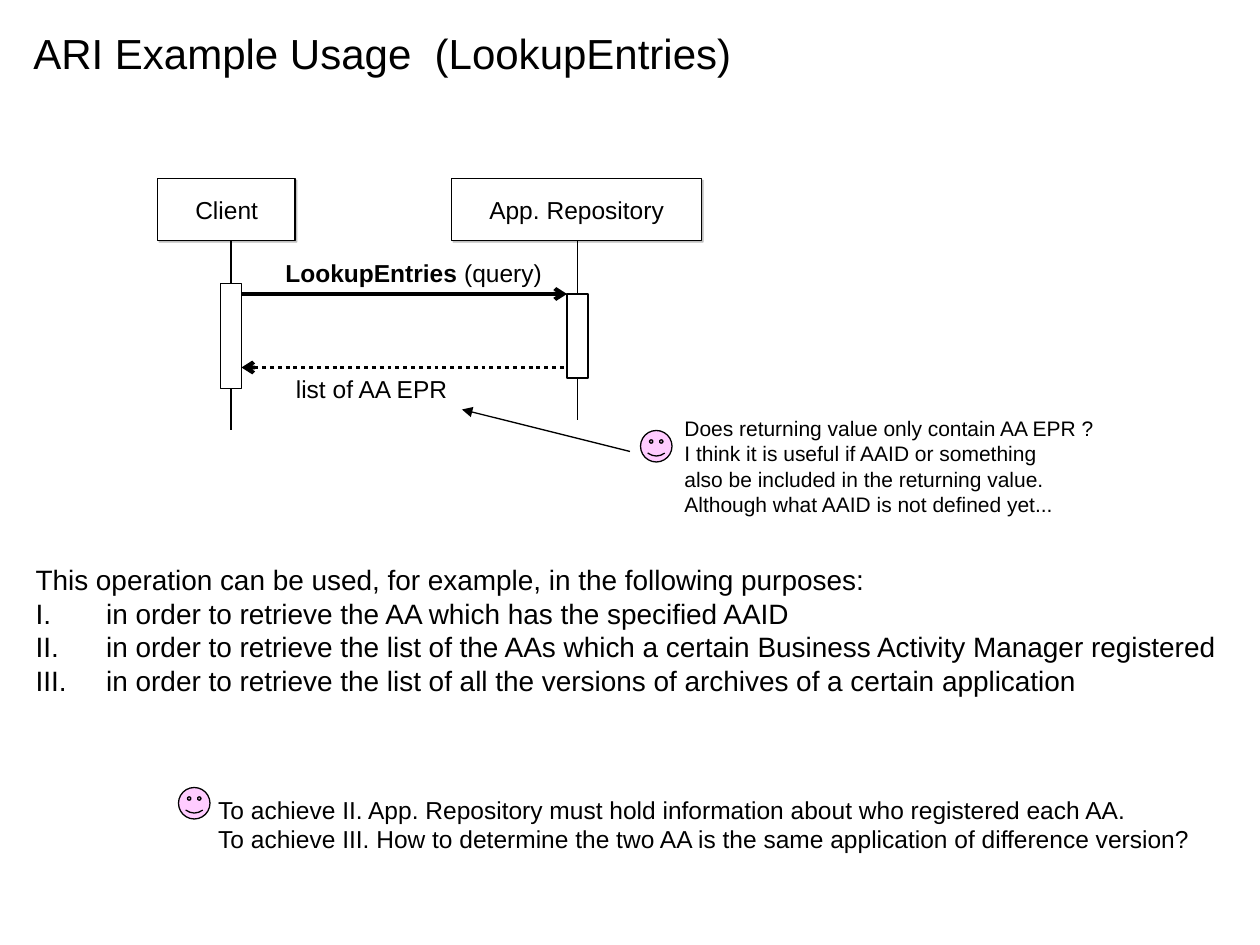
from typing import NamedTuple

from lxml import etree
from pptx import Presentation
from pptx.dml.color import RGBColor
from pptx.enum.dml import MSO_LINE
from pptx.enum.shapes import MSO_CONNECTOR, MSO_SHAPE
from pptx.enum.text import MSO_ANCHOR, PP_ALIGN
from pptx.oxml.ns import qn
from pptx.util import Inches, Pt

RECT, SMILEY = MSO_SHAPE.RECTANGLE, MSO_SHAPE.SMILEY_FACE
STRAIGHT = MSO_CONNECTOR.STRAIGHT
DOTTED = MSO_LINE.ROUND_DOT
LEFT, TOP = PP_ALIGN.LEFT, MSO_ANCHOR.TOP
COLS, ROWS = 120, 90
CELL = Inches(10) / COLS
FONT, BLACK, WHITE, PINK, GREY = "Arial", "000000", "FFFFFF", "FFCCFF", "808080"


class Box(NamedTuple):
    left: float
    top: float
    width: float
    height: float


class Run(NamedTuple):
    text: str
    bold: bool = False


class Para(NamedTuple):
    runs: list[Run]
    hanging: bool = False
    numbered: bool = False


class Label(NamedTuple):
    box: Box
    size: int
    paras: list[Para]


class Participant(NamedTuple):
    name: str
    box: Box
    axis: float
    end: float
    activation: Box


class Line(NamedTuple):
    start: tuple[float, float]
    end: tuple[float, float]
    weight: float = 0.75
    head: str = ""
    tail: str = ""
    dotted: bool = False


def plain(*texts: str) -> list[Para]:
    return [Para([Run(text)]) for text in texts]


TITLE = Label(Box(2, 2, 68.9, 6), 24, plain("ARI Example Usage  (LookupEntries)"))
PARTICIPANTS = [
    Participant("Client", Box(15, 17, 13.1, 5.9), 22, 41, Box(21, 27, 2, 10)),
    Participant("App. Repository", Box(43, 17, 23.8, 5.9), 55, 40, Box(54, 28, 2, 8)),
]
MESSAGES = [
    Line((23, 28), (54, 28), 2.25, tail="arrow"),
    Line((23, 35), (54, 35), 2.25, head="arrow", dotted=True),
]
MESSAGE_LABELS = [
    Label(Box(26, 24, 26.8, 4.1), 14,
          [Para([Run("LookupEntries", True), Run(" (query)")])]),
    Label(Box(27, 35, 17, 4.1), 14, plain("list of AA EPR")),
]
PURPOSES = Label(Box(2.2, 53, 115.1, 14), 16, [
    Para([Run("This operation can be used, for example, in the following purposes:")],
         hanging=True),
    *(Para([Run(" in order to retrieve the " + purpose)], True, True) for purpose in (
        "AA which has the specified AAID",
        "list of the AAs which a certain Business Activity Manager registered",
        "list of all the versions of archives of a certain application",
    )),
])
POINTER = Line((60, 43), (44, 39), tail="triangle")
SMILEYS = [Box(61, 41, 3, 3), Box(17, 75, 3, 3)]
REMARKS = [
    Label(Box(64, 39, 41.6, 10.8), 12, plain(
        "Does returning value only contain AA EPR ?",
        "I think it is useful if AAID or something",
        "also be included in the returning value.",
        "Although what AAID is not defined yet...",
    )),
    Label(Box(19.6, 75.1, 95.5, 6.9), 14, plain(
        "To achieve II. App. Repository must hold information about who registered each AA.",
        "To achieve III. How to determine the two AA is the same application of difference version?",
    )),
]


def rgb(value: str) -> RGBColor:
    return RGBColor.from_string(value)


def cells(*counts: float) -> list[int]:
    return [round(count * CELL) for count in counts]


def add_child(parent, tag: str, **attrs: str):
    return etree.SubElement(parent, qn(tag), attrs)


def write(tf, paras: list[Para], size: int) -> None:
    tf.word_wrap = False
    tf.vertical_anchor = TOP
    for i, para in enumerate(paras):
        p = tf.add_paragraph() if i else tf.paragraphs[0]
        p.alignment = LEFT
        pPr = p._p.get_or_add_pPr()
        if para.hanging:
            pPr.set("marL", str(Inches(0.5)))
            pPr.set("indent", str(-Inches(0.5)))
        if para.numbered:
            add_child(add_child(pPr, "a:buClr"), "a:srgbClr", val=BLACK)
            add_child(pPr, "a:buFont", typeface=FONT)
            add_child(pPr, "a:buAutoNum", type="romanUcPeriod")
        for run in para.runs:
            r = p.add_run()
            r.text = run.text
            r.font.name, r.font.size, r.font.bold = FONT, Pt(size), run.bold
            r.font.color.rgb = rgb(BLACK)


def add_label(s, label: Label) -> None:
    sp = s.shapes.add_textbox(*cells(*label.box))
    write(sp.text_frame, label.paras, label.size)


def add_shape(s, kind, box: Box, fill: str = WHITE):
    sp = s.shapes.add_shape(kind, *cells(*box))
    sp.fill.solid()
    sp.fill.fore_color.rgb = rgb(fill)
    sp.line.color.rgb = rgb(BLACK)
    sp.line.width = Pt(0.75)
    sp.shadow.inherit = False
    return sp


def add_line(s, line: Line) -> None:
    cx = s.shapes.add_connector(STRAIGHT, *cells(*line.start, *line.end))
    cx.line.color.rgb = rgb(BLACK)
    cx.line.width = Pt(line.weight)
    if line.dotted:
        cx.line.dash_style = DOTTED
    ln = cx.line._get_or_add_ln()
    for tag, kind in (("a:headEnd", line.head), ("a:tailEnd", line.tail)):
        if kind:
            add_child(ln, tag, type=kind)
    add_child(cx._element.spPr, "a:effectLst")


def add_participant(s, part: Participant) -> None:
    sp = add_shape(s, RECT, part.box)
    effects = sp._element.spPr.find(qn("a:effectLst"))
    shadow = add_child(effects, "a:outerShdw", dist=str(Pt(1.4)), dir="2700000",
                       algn="ctr", rotWithShape="0")
    add_child(add_child(shadow, "a:srgbClr", val=GREY), "a:alpha", val="50000")
    tf = sp.text_frame
    tf.margin_left = tf.margin_right = Inches(0.3)
    tf.margin_top = tf.margin_bottom = Inches(0.13)
    write(tf, plain(part.name), 14)
    add_line(s, Line((part.axis, part.box.top + 6), (part.axis, part.end)))


def main() -> None:
    """Build the LookupEntries sequence slide."""
    prs = Presentation()
    prs.slide_width, prs.slide_height = cells(COLS, ROWS)
    s = prs.slides.add_slide(prs.slide_layouts[6])
    add_label(s, TITLE)
    for part in PARTICIPANTS:
        add_participant(s, part)
    for message in MESSAGES:
        add_line(s, message)
    for part in PARTICIPANTS:
        add_shape(s, RECT, part.activation)
    for label in [*MESSAGE_LABELS, PURPOSES]:
        add_label(s, label)
    add_line(s, POINTER)
    for box, remark in zip(SMILEYS, REMARKS):
        add_shape(s, SMILEY, box, PINK).adjustments[0] = 0.093
        add_label(s, remark)
    prs.save("out.pptx")


if __name__ == "__main__":
    main()
